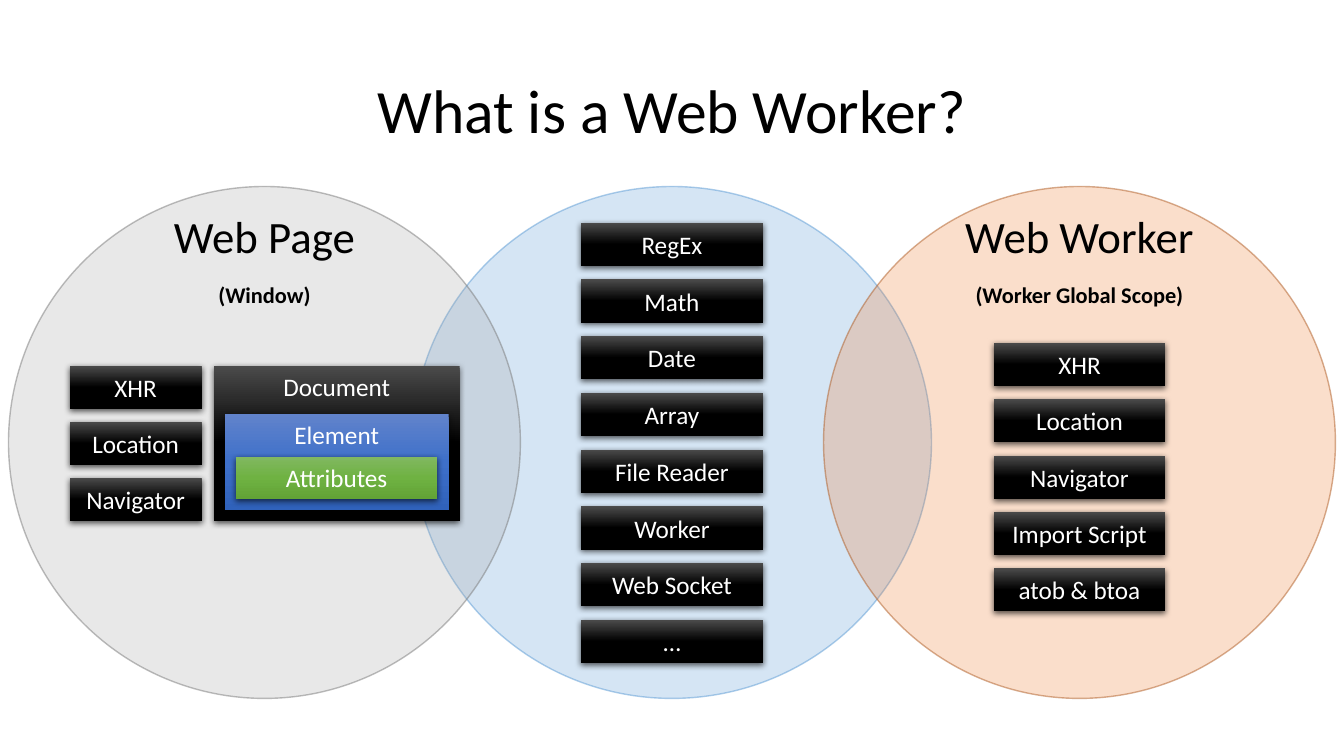
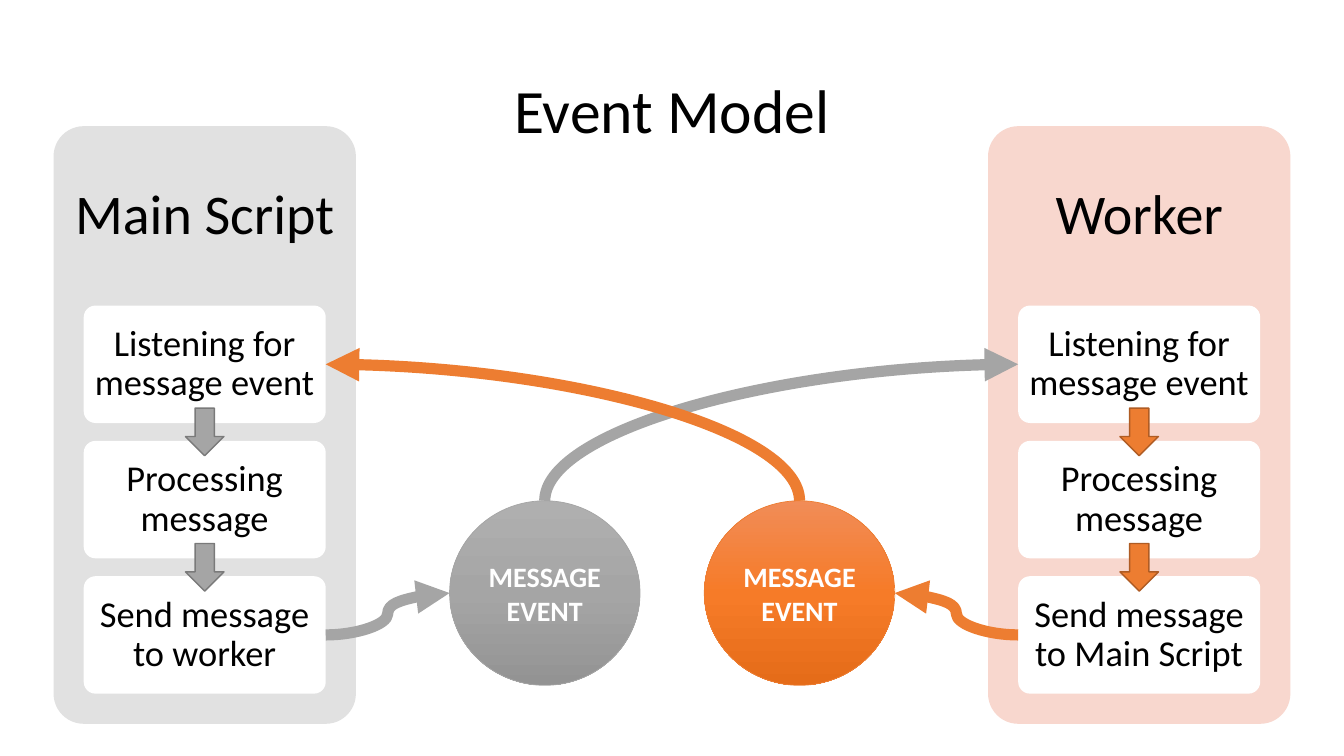
from collections import namedtuple
from copy import deepcopy

from lxml.etree import SubElement
from pptx import Presentation
from pptx.dml.color import RGBColor
from pptx.enum.shapes import MSO_CONNECTOR, MSO_SHAPE
from pptx.enum.text import MSO_ANCHOR, MSO_AUTO_SIZE, PP_ALIGN
from pptx.oxml.ns import qn
from pptx.util import Cm, Pt

OVAL, RECTANGLE = MSO_SHAPE.OVAL, MSO_SHAPE.RECTANGLE
ROUNDED, DOWN_ARROW = MSO_SHAPE.ROUNDED_RECTANGLE, MSO_SHAPE.DOWN_ARROW
CURVE = MSO_CONNECTOR.CURVE
TOP, MIDDLE = MSO_ANCHOR.TOP, MSO_ANCHOR.MIDDLE
CENTER = PP_ALIGN.CENTER
NO_AUTOFIT = MSO_AUTO_SIZE.NONE
TOP_SIDE, LEFT_SIDE, RIGHT_SIDE = 0, 1, 3

BLACK = RGBColor(0x00, 0x00, 0x00)
WHITE = RGBColor(0xFF, 0xFF, 0xFF)
GRAY = RGBColor(0xA5, 0xA5, 0xA5)
DARK_GRAY = RGBColor(0x7A, 0x7A, 0x7A)
PALE_GRAY = RGBColor(0xE1, 0xE1, 0xE1)
ORANGE = RGBColor(0xED, 0x7D, 0x31)
DARK_ORANGE = RGBColor(0xAF, 0x5C, 0x24)
PALE_ORANGE = RGBColor(0xF8, 0xD7, 0xCE)
BLUE = RGBColor(0x5B, 0x9B, 0xD5)
BLACK_GRADIENT = (RGBColor(0x4B, 0x4B, 0x4B), BLACK, BLACK)
BLUE_GRADIENT = (RGBColor(0x61, 0x83, 0xCB), RGBColor(0x3E, 0x70, 0xCA),
                 RGBColor(0x30, 0x62, 0xBB))
GREEN_GRADIENT = (RGBColor(0x81, 0xB8, 0x61), RGBColor(0x6F, 0xB2, 0x42),
                  RGBColor(0x62, 0xA3, 0x36))
GRAY_GRADIENT = (RGBColor(0xAF, 0xAF, 0xAF), GRAY, RGBColor(0x93, 0x93, 0x93))
ORANGE_GRADIENT = (RGBColor(0xF1, 0x8C, 0x57), RGBColor(0xF6, 0x7B, 0x28),
                   RGBColor(0xE5, 0x6C, 0x19))

FONT = "Calibri"
SLIDE_WIDTH, SLIDE_HEIGHT = 33.87, 19.05

# All box values are centimetres.
Box = namedtuple("Box", "left top width height")
TITLE_BOX = Box(2.33, 1.02, 29.21, 3.68)
CIRCLE_TOP, CIRCLE_SIZE = 4.7, 12.9
BUTTON_HEIGHT = 1.09
Theme = namedtuple("Theme", "panel accent edge gradient")
GRAY_THEME = Theme(PALE_GRAY, GRAY, DARK_GRAY, GRAY_GRADIENT)
ORANGE_THEME = Theme(PALE_ORANGE, ORANGE, DARK_ORANGE, ORANGE_GRADIENT)


def apply_format(target, **values):
    for name, value in values.items():
        setattr(target, name, value)


def write_paragraph(paragraph, text, size, color=BLACK, bold=False, **spacing):
    apply_format(paragraph, text=text, alignment=CENTER, **spacing)
    apply_format(paragraph.font, name=FONT, size=Pt(size), bold=bold)
    paragraph.font.color.rgb = color


def set_frame(shape, margins, anchor=MIDDLE):
    """Wrap the text; margins are left, top, right and bottom."""
    left, top, right, bottom = map(Cm, margins)
    apply_format(shape.text_frame, word_wrap=True, auto_size=NO_AUTOFIT,
                 vertical_anchor=anchor, margin_left=left, margin_top=top,
                 margin_right=right, margin_bottom=bottom)
    return shape.text_frame.paragraphs[0]


def add_plain_shape(shapes, kind, box, fill=None, line=None, line_width=1):
    shape = shapes.add_shape(kind, *map(Cm, box))
    shape.shadow.inherit = False
    if fill is not None:
        shape.fill.solid()
        shape.fill.fore_color.rgb = fill
    if line is None:
        shape.line.fill.background()
    else:
        shape.line.color.rgb = line
        shape.line.width = Pt(line_width)
    return shape


def fill_gradient(shape, colors):
    """Three stops, from top to bottom."""
    shape.fill.gradient()
    shape.fill.gradient_angle = 270
    stop_list = shape.element.spPr.find(".//" + qn("a:gsLst"))
    stop_list.append(deepcopy(stop_list[-1]))
    for index, (stop, color) in enumerate(zip(shape.fill.gradient_stops, colors)):
        stop.position = index / 2
        stop.color.rgb = color


def add_shadow(shape):
    effects = shape.element.spPr.find(qn("a:effectLst"))
    shadow = SubElement(effects, qn("a:outerShdw"), blurRad=str(Pt(4.5)),
                        dist=str(Pt(1.5)), dir="5400000", algn="ctr", rotWithShape="0")
    color = SubElement(shadow, qn("a:srgbClr"), val=str(BLACK))
    SubElement(color, qn("a:alpha"), val="63000")


def add_title_slide(presentation, title):
    slide = presentation.slides.add_slide(presentation.slide_layouts[5])
    placeholder = slide.shapes.title
    left, top, width, height = map(Cm, TITLE_BOX)
    apply_format(placeholder, left=left, top=top, width=width, height=height)
    paragraph = set_frame(placeholder, (0.25, 0.13, 0.25, 0.13))
    write_paragraph(paragraph, title, 44, line_spacing=0.9)
    return slide


# Scopes slide

def add_scope_circle(shapes, center, fill, line, width=CIRCLE_SIZE):
    box = Box(center - width / 2, CIRCLE_TOP, width, CIRCLE_SIZE)
    circle = add_plain_shape(shapes, OVAL, box, fill, line)
    colors = circle.element.spPr.iter(qn("a:srgbClr"))
    for color, opacity in zip(list(colors), ("25000", "50000")):
        SubElement(color, qn("a:alpha"), val=opacity)
    return box


def add_scope_heading(shapes, box, name, scope):
    heading = shapes.add_textbox(Cm(box.left), Cm(box.top), Cm(box.width), Cm(3.6))
    paragraph = set_frame(heading, (0.71,) * 4, TOP)
    write_paragraph(paragraph, name, 32, line_spacing=0.9, space_after=Pt(13))
    write_paragraph(heading.text_frame.add_paragraph(), scope, 16, bold=True)


def add_button(shapes, box, text, gradient=BLACK_GRADIENT, anchor=MIDDLE):
    button = add_plain_shape(shapes, RECTANGLE, box)
    fill_gradient(button, gradient)
    add_shadow(button)
    paragraph = set_frame(button, (0.25, 0.13, 0.25, 0.13), anchor)
    write_paragraph(paragraph, text, 18, WHITE)


def add_button_column(shapes, left, top, width, pitch, names):
    for index, name in enumerate(names):
        add_button(shapes, Box(left, top + index * pitch, width, BUTTON_HEIGHT), name)


def add_document_tree(shapes, box):
    """Boxes nested inside each other, each below its parent's label."""
    group = shapes.add_group_shape()
    inset = 0.28
    levels = (("Document", BLACK_GRADIENT, 1.22), ("Element", BLUE_GRADIENT, 1.07),
              ("Attributes", GREEN_GRADIENT, 0))
    for name, gradient, label_height in levels:
        add_button(group.shapes, box, name, gradient, TOP)
        box = Box(box.left + inset, box.top + label_height,
                  box.width - 2 * inset, box.height - label_height - inset)


def build_scopes_slide(presentation):
    shapes = add_title_slide(presentation, "What is a Web Worker?").shapes
    middle, pitch = SLIDE_WIDTH / 2, 10.27

    shared = add_scope_circle(shapes, middle, BLUE, BLUE, 13.08)
    add_button_column(shapes, middle - 2.3, shared.top + 0.91, 4.6, 1.43, (
        "RegEx", "Math", "Date", "Array", "File Reader", "Worker", "Web Socket", "…"))

    page = add_scope_circle(shapes, middle - pitch, GRAY, DARK_GRAY)
    add_scope_heading(shapes, page, "Web Page", "(Window)")
    page_top = page.top + 4.52
    add_button_column(shapes, page.left + 1.54, page_top, 3.33, 1.41,
                      ("XHR", "Location", "Navigator"))
    add_document_tree(shapes, Box(page.left + 5.17, page_top, 6.2, 3.91))

    worker = add_scope_circle(shapes, middle + pitch, ORANGE, DARK_ORANGE)
    add_scope_heading(shapes, worker, "Web Worker", "(Worker Global Scope)")
    add_button_column(shapes, middle + pitch - 2.16, worker.top + 3.94, 4.32, 1.42, (
        "XHR", "Location", "Navigator", "Import Script", "atob & btoa"))


# Event slide

def add_script_panel(shapes, box, theme, title, steps):
    """Return the step cards, from top to bottom."""
    panel = add_plain_shape(shapes, ROUNDED, box, theme.panel)
    panel.adjustments[0] = 0.1
    paragraph = set_frame(panel, (0.2, 0.2, 0.2, 10.7))
    write_paragraph(paragraph, title, 40, line_spacing=0.9)

    inset, card_height, gap = 0.76, 2.96, 0.45
    cards = []
    for index, step in enumerate(steps):
        top = box.top + 4.52 + index * (card_height + gap)
        card_box = Box(box.left + inset, top, box.width - 2 * inset, card_height)
        card = add_plain_shape(shapes, ROUNDED, card_box, WHITE)
        card.adjustments[0] = 0.1
        paragraph = set_frame(card, (0.1,) * 4)
        write_paragraph(paragraph, step, 26, line_spacing=0.9)
        cards.append(card)

    arrow_width, arrow_height = 0.97, 1.2
    for index in range(1, len(steps)):
        gap_middle = box.top + 4.52 + index * (card_height + gap) - gap / 2
        arrow_box = Box(box.left + (box.width - arrow_width) / 2,
                        gap_middle - arrow_height / 2, arrow_width, arrow_height)
        add_plain_shape(shapes, DOWN_ARROW, arrow_box, theme.accent, theme.edge)
    return cards


def add_message_circle(shapes, box, theme):
    circle = add_plain_shape(shapes, OVAL, box, line=theme.accent, line_width=0.5)
    fill_gradient(circle, theme.gradient)
    write_paragraph(set_frame(circle, (0.1,) * 4), "MESSAGE EVENT", 20, WHITE, True)
    return circle


def add_message_curve(shapes, card, card_side, circle, circle_side, color, preset, arrow_end):
    curve = shapes.add_connector(CURVE, 0, 0, 0, 0)
    curve.begin_connect(card, card_side)
    curve.end_connect(circle, circle_side)
    # An ellipse has eight connection sites, so each side is every second one.
    curve.element.find(".//" + qn("a:endCxn")).set("idx", str(2 * circle_side))
    curve.line.color.rgb = color
    curve.line.width = Pt(8)
    properties = curve.element.spPr
    properties.find(qn("a:prstGeom")).set("prst", preset)
    SubElement(properties.find(qn("a:ln")), qn(arrow_end), type="triangle")
    SubElement(properties, qn("a:effectLst"))


def build_event_slide(presentation):
    shapes = add_title_slide(presentation, "Event Model").shapes
    margin, width = 1.35, 7.62
    left_box = Box(margin, 3.18, width, 15.06)
    right_box = left_box._replace(left=SLIDE_WIDTH - margin - width)
    common_steps = ("Listening for message event", "Processing message")
    main_cards = add_script_panel(shapes, left_box, GRAY_THEME, "Main Script",
                                  common_steps + ("Send message to worker",))
    worker_cards = add_script_panel(shapes, right_box, ORANGE_THEME, "Worker",
                                    common_steps + ("Send message to Main Script",))

    circle_box = Box(11.33, 12.62, 4.8, 4.65)
    to_worker = add_message_circle(shapes, circle_box, GRAY_THEME)
    to_main = add_message_circle(shapes, circle_box._replace(left=17.75), ORANGE_THEME)

    routes = ((main_cards, RIGHT_SIDE, to_worker, worker_cards, LEFT_SIDE, GRAY),
              (worker_cards, LEFT_SIDE, to_main, main_cards, RIGHT_SIDE, ORANGE))
    for senders, send_side, circle, receivers, receive_side, color in routes:
        add_message_curve(shapes, receivers[0], receive_side, circle, TOP_SIDE,
                          color, "curvedConnector2", "a:headEnd")
        add_message_curve(shapes, senders[-1], send_side, circle, receive_side,
                          color, "curvedConnector3", "a:tailEnd")


def main():
    presentation = Presentation()
    presentation.slide_width = Cm(SLIDE_WIDTH)
    presentation.slide_height = Cm(SLIDE_HEIGHT)
    build_scopes_slide(presentation)
    build_event_slide(presentation)
    presentation.save("out.pptx")


if __name__ == "__main__":
    main()
